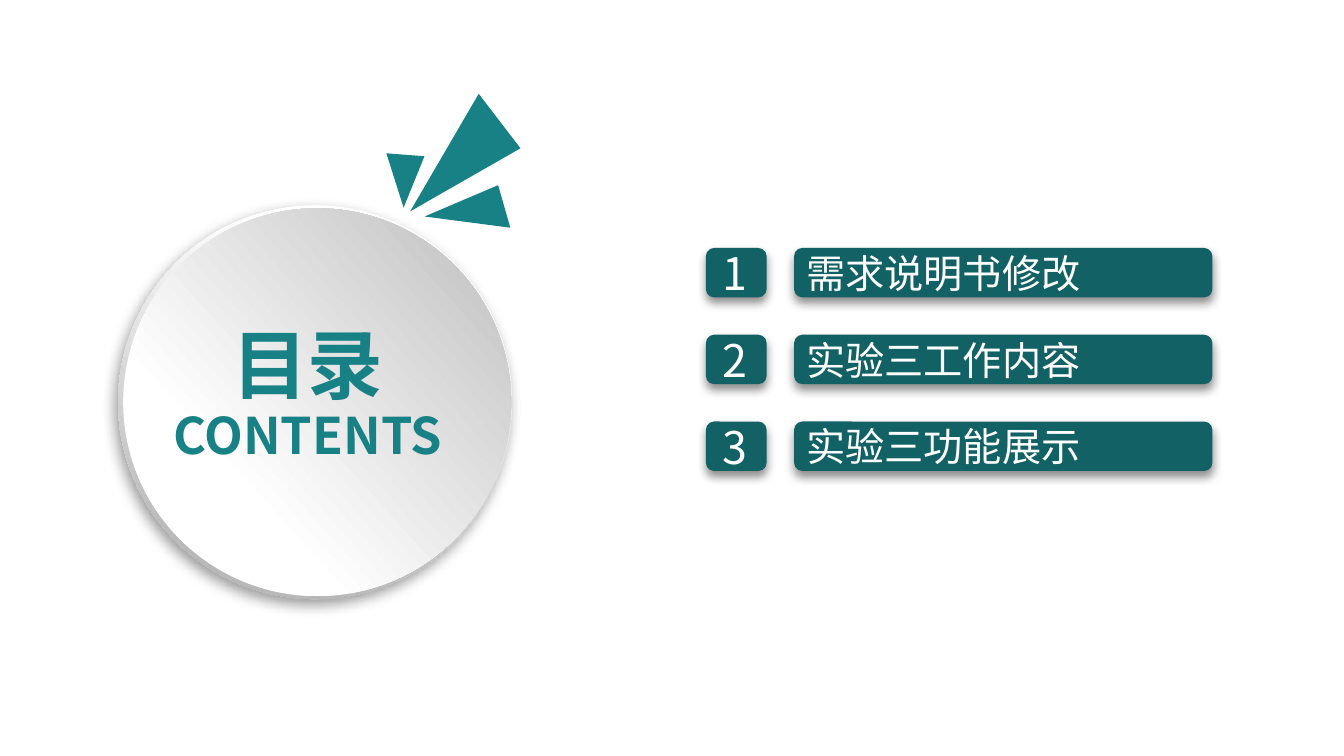
from lxml import etree
from pptx import Presentation
from pptx.dml.color import RGBColor
from pptx.enum.shapes import MSO_SHAPE
from pptx.enum.text import MSO_ANCHOR, MSO_AUTO_SIZE, PP_ALIGN
from pptx.oxml.ns import qn
from pptx.util import Pt

TEAL = RGBColor(0x18, 0x81, 0x86)
DARK_TEAL = RGBColor(0x12, 0x61, 0x65)
WHITE = RGBColor(0xFF, 0xFF, 0xFF)
RIM_GREY = RGBColor(0xB8, 0xB8, 0xB8)
FACE_GREY = RGBColor(0xBF, 0xBF, 0xBF)
BLACK = RGBColor(0, 0, 0)
FONT = "Noto Sans CJK SC"

AGENDA = ["需求说明书修改", "实验三工作内容", "实验三功能展示"]
# Corners relative to the top left of the spark area
SPARKS = [
    [(21.5, 84), (70.5, 0), (100.3, 38.9)],
    [(31.8, 87.7), (84.3, 65.3), (93, 95.7)],
    [(16.8, 81.3), (4.5, 42.5), (31.7, 44.6)],
]


def add_shadow(shape, opacity, blur, distance, direction):
    effects = etree.SubElement(shape.element.spPr, qn("a:effectLst"))
    shadow = etree.SubElement(
        effects, qn("a:outerShdw"), blurRad=str(Pt(blur)), dist=str(Pt(distance)),
        dir=str(direction * 60000), algn="ctr", rotWithShape="0")
    color = etree.SubElement(shadow, qn("a:srgbClr"), val=str(BLACK))
    etree.SubElement(color, qn("a:alpha"), val=str(opacity * 1000))


def set_text(shape, text, size, color, bold=False, align=PP_ALIGN.LEFT):
    shape.text_frame.text = text
    paragraph = shape.text_frame.paragraphs[0]
    paragraph.alignment = align
    run = paragraph.runs[0]
    run.font.size = Pt(size)
    run.font.bold = bold
    run.font.color.rgb = color
    run.font.name = FONT
    etree.SubElement(run.font._element, qn("a:ea"), typeface=FONT)


def add_text_box(shapes, left, top, width, height, wrap):
    box = shapes.add_textbox(Pt(left), Pt(top), Pt(width), Pt(height))
    box.text_frame.word_wrap = wrap
    box.text_frame.auto_size = MSO_AUTO_SIZE.SHAPE_TO_FIT_TEXT
    return box


def add_disc(shapes, left, top, diameter, stops, angle):
    disc = shapes.add_shape(MSO_SHAPE.OVAL, Pt(left), Pt(top), Pt(diameter), Pt(diameter))
    disc.line.fill.background()
    disc.fill.gradient()
    disc.fill.gradient_angle = angle
    for stop, (position, color) in zip(disc.fill.gradient_stops, stops):
        stop.position = position
        stop.color.rgb = color
    return disc


def add_title_disc(slide, left, top, diameter):
    # Rim and face
    group = slide.shapes.add_group_shape()
    rim = add_disc(group.shapes, left, top, diameter,
                   [(0.17, WHITE), (0.88, RIM_GREY)], 253)
    add_shadow(rim, 39, 10, 5, 123)
    face = add_disc(group.shapes, left + 3.6, top + 2.2, diameter - 4.2,
                    [(0.29, WHITE), (0.98, FACE_GREY)], 42)
    face.shadow.inherit = False
    return group


def add_sparks(slide, left, top):
    for corners in SPARKS:
        points = [(Pt(left + x), Pt(top + y)) for x, y in corners]
        builder = slide.shapes.build_freeform(*points[0])
        builder.add_line_segments(points[1:], close=True)
        spark = builder.convert_to_shape()
        spark.fill.solid()
        spark.fill.fore_color.rgb = TEAL
        spark.line.fill.background()
        spark.shadow.inherit = False


def add_title(slide, left, top, width):
    lines = [("CONTENTS", 36, 62, 51), ("目录", 54, 0, 72.7)]
    for text, size, offset, height in lines:
        box = add_text_box(slide.shapes, left, top + offset, width, height, True)
        set_text(box, text, size, TEAL, True, PP_ALIGN.CENTER)


def add_bar(shapes, left, top, width, height):
    bar = shapes.add_shape(MSO_SHAPE.ROUNDED_RECTANGLE,
                           Pt(left), Pt(top), Pt(width), Pt(height))
    bar.fill.solid()
    bar.fill.fore_color.rgb = DARK_TEAL
    bar.line.fill.background()
    add_shadow(bar, 46, 7, 4, 90)
    return bar


def add_agenda_row(slide, number, text, left, top, width, height):
    group = slide.shapes.add_group_shape()
    # Number badge
    add_bar(group.shapes, left, top, 43.4, height)
    label = add_text_box(group.shapes, left + 5, top - 5, 33.4, 46, False)
    set_text(label, str(number), 32, WHITE)
    # Topic bar
    bar = add_bar(group.shapes, left + 63, top, width - 63, height)
    bar.text_frame.vertical_anchor = MSO_ANCHOR.MIDDLE
    set_text(bar, text, 28, WHITE)


def add_agenda(slide, left, top, width, pitch):
    for index, text in enumerate(AGENDA):
        add_agenda_row(slide, index + 1, text, left, top + index * pitch, width, 35.3)


def main():
    presentation = Presentation()
    presentation.slide_width = Pt(960)
    presentation.slide_height = Pt(540)
    slide = presentation.slides.add_slide(presentation.slide_layouts[6])
    add_title_disc(slide, 84.4, 146.6, 281.3)
    add_sparks(slide, 271.5, 67)
    add_title(slide, 102.5, 223.2, 234.7)
    add_agenda(slide, 504.2, 177.1, 361.8, 62)
    presentation.save("out.pptx")


if __name__ == "__main__":
    main()
